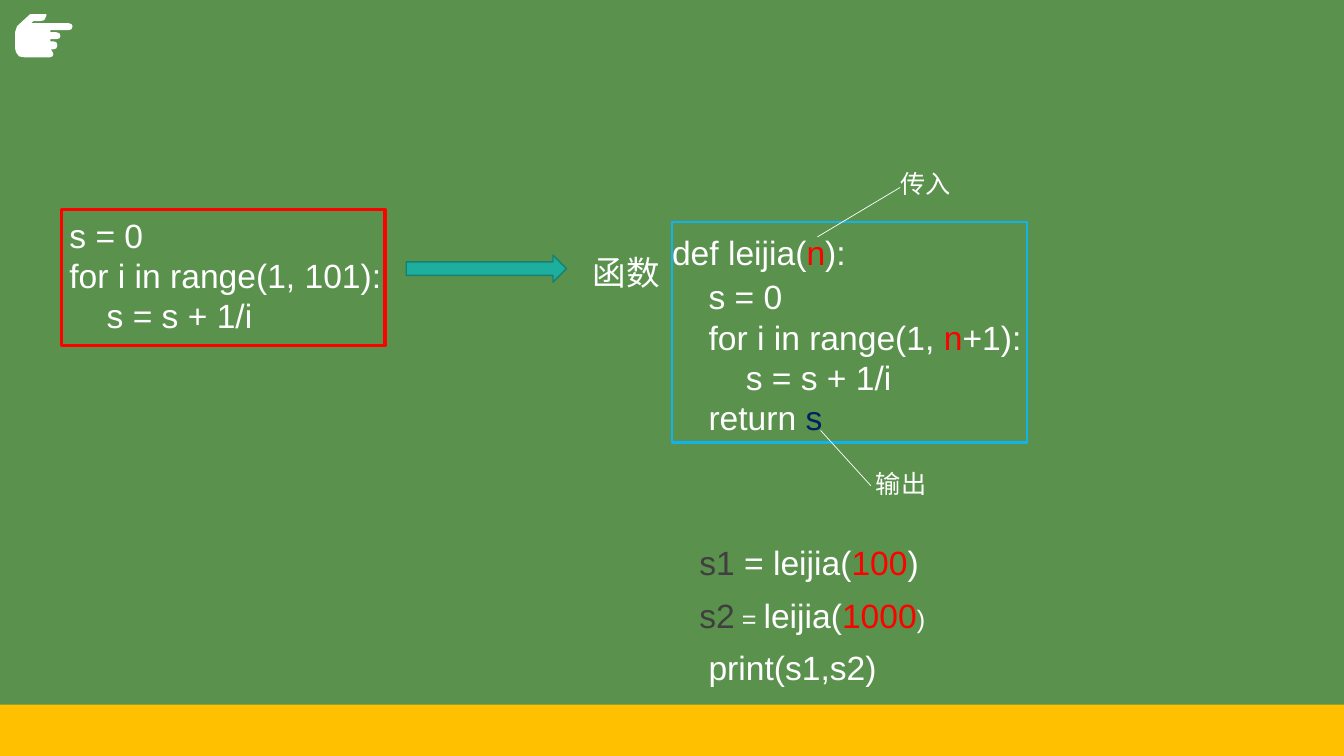
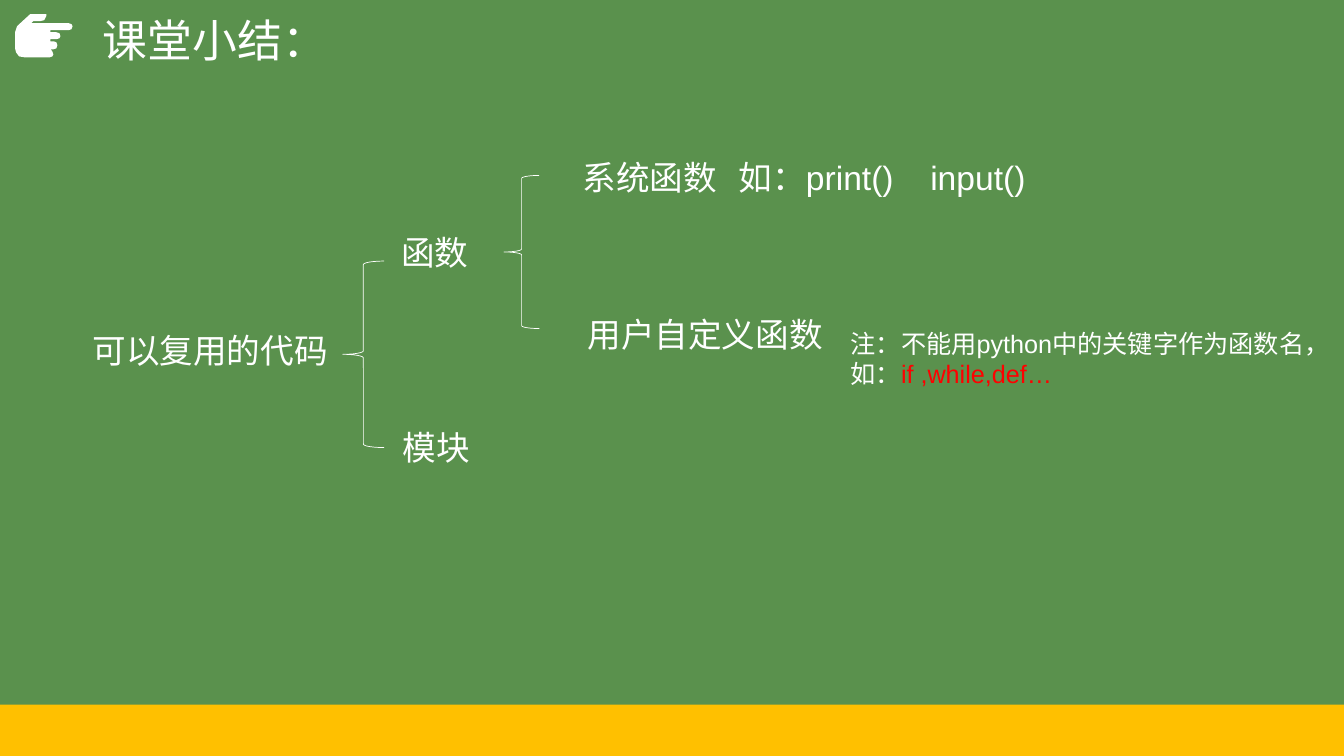
from lxml.etree import SubElement
from pptx import Presentation
from pptx.dml.color import RGBColor
from pptx.enum.shapes import MSO_CONNECTOR, MSO_SHAPE
from pptx.enum.text import MSO_ANCHOR, PP_ALIGN
from pptx.oxml.ns import qn
from pptx.util import Pt

COLORS = {
    "board": "5A914D", "band": "FFC000", "white": "FFFFFF", "red": "FF0000",
    "navy": "002060", "gray": "3F3F3F", "teal": "1DAE9E", "teal_edge": "158175",
    "blue": "11B3ED",
}
FONT = "Arial"
WIDTH, HEIGHT = 960, 540
BAND_TOP = 503.3
CODE, NOTE = 24, 18  # text sizes

# Outline of the pointing hand, in hundredths of an inch
HAND_UNIT = Pt(0.72)
HAND = [
    (53, 54), (52, 51), (50, 49), (53, 49), (56, 48), (57, 45), (56, 42),
    (53, 41), (50, 41), (50, 39), (56, 39), (59, 38), (60, 36), (59, 33),
    (56, 32), (50, 32), (50, 30), (68, 30), (71, 29), (72, 26), (71, 24),
    (68, 23), (31, 23), (33, 21), (40, 21), (44, 20), (46, 16), (46, 14),
    (30, 14), (17, 26), (15, 32), (15, 48), (16, 52), (19, 56), (25, 57),
    (49, 57), (52, 56),
]


def rgb(color):
    return RGBColor.from_string(COLORS[color])


class Lesson:
    """Holds the presentation style and the current slide."""

    def __init__(self):
        self.prs = Presentation()
        self.prs.slide_width, self.prs.slide_height = Pt(WIDTH), Pt(HEIGHT)
        background = self.prs.slide_master.background.fill
        background.solid()
        background.fore_color.rgb = rgb("board")

    def new_slide(self, title=None):
        layout = self.prs.slide_layouts.get_by_name("Title Only" if title else "Blank")
        self.slide = self.prs.slides.add_slide(layout)
        self.shape(MSO_SHAPE.RECTANGLE, 0, BAND_TOP, WIDTH, HEIGHT - BAND_TOP, fill="band")
        self.hand()
        if title:
            self.title(title)

    def title(self, text):
        heading = self.slide.shapes.title
        heading.left, heading.top, heading.width, heading.height = map(Pt, (66.2, 6.5, 828, 49))
        heading.text_frame.vertical_anchor = MSO_ANCHOR.MIDDLE
        paragraph = heading.text_frame.paragraphs[0]
        paragraph.alignment = PP_ALIGN.LEFT
        paragraph.line_spacing = 0.9
        self.run(paragraph, text, size=32)

    def hand(self):
        builder = self.slide.shapes.build_freeform(*HAND[0], scale=HAND_UNIT)
        builder.add_line_segments(HAND[1:], close=True)
        self.paint(builder.convert_to_shape(), fill="white")

    def paint(self, shape, fill=None, line=None, weight=1):
        shape.shadow.inherit = False
        if fill:
            shape.fill.solid()
            shape.fill.fore_color.rgb = rgb(fill)
        else:
            shape.fill.background()
        if line:
            shape.line.color.rgb = rgb(line)
            shape.line.width = Pt(weight)
        else:
            shape.line.fill.background()

    def shape(self, kind, left, top, width, height, **style):
        shape = self.slide.shapes.add_shape(kind, *map(Pt, (left, top, width, height)))
        self.paint(shape, **style)

    def brace(self, left, top, width, height):
        self.shape(MSO_SHAPE.LEFT_BRACE, left, top, width, height, line="white", weight=0.5)

    def pointer(self, *ends):
        line = self.slide.shapes.add_connector(MSO_CONNECTOR.STRAIGHT, *map(Pt, ends))
        line.line.color.rgb = rgb("white")
        line.line.width = Pt(0.5)
        SubElement(line._element.spPr, qn("a:effectLst"))

    def run(self, paragraph, text, color="white", size=CODE):
        run = paragraph.add_run()
        run.text = text
        run.font.name = FONT
        run.font.size = Pt(size)
        run.font.color.rgb = rgb(color)

    def text(self, left, top, width, height, *lines, tab=None):
        """Each line is a list of runs: (text, color, size)."""
        box = self.slide.shapes.add_textbox(*map(Pt, (left, top, width, height)))
        frame = box.text_frame
        frame.word_wrap = True
        for index, runs in enumerate(lines):
            paragraph = frame.add_paragraph() if index else frame.paragraphs[0]
            if tab:
                stops = SubElement(paragraph._p.get_or_add_pPr(), qn("a:tabLst"))
                SubElement(stops, qn("a:tab"), pos=str(Pt(tab)), algn="l")
            for run in runs:
                self.run(paragraph, *run)


def function_slide(lesson):
    lesson.new_slide()

    # Loop before it becomes a function
    lesson.text(42.5, 149.8, 351, 124,
                [("s = 0",)], [("for i in range(1, 101):",)], [("    s = s + 1/i",)])
    lesson.shape(MSO_SHAPE.RECTANGLE, 43.9, 149.8, 231.1, 97.2, line="red", weight=2.25)
    lesson.shape(MSO_SHAPE.RIGHT_ARROW, 290.2, 182.2, 114.5, 19.4,
                 fill="teal", line="teal_edge")
    lesson.text(416.2, 176.4, 71, 36.7, [("函数",)])

    # Function definition
    lesson.text(473, 162, 222, 36.7, [("def leijia(",), ("n", "red"), ("):",)])
    lesson.text(499, 193.7, 239, 123,
                [("s = 0",)],
                [("for i in range(1, ",), ("n", "red"), ("+1):",)],
                [("    s = s + 1/i",)],
                [("return ",), ("s", "navy")])
    lesson.shape(MSO_SHAPE.RECTANGLE, 480.2, 158.4, 253.4, 157.7, line="blue", weight=1.5)

    # Input and output labels
    lesson.pointer(583.9, 169.2, 643, 133.9)
    lesson.text(635.8, 116.6, 110, 28.8, [("传入", "white", NOTE)])
    lesson.pointer(586.1, 307.4, 622.1, 347)
    lesson.text(618.5, 331.2, 110, 28.8, [("输出", "white", NOTE)])

    # Calls
    calls = [
        (492.5, [("s1", "gray"), (" = leijia(",), ("100", "red"), (")",)]),
        (492.5, [("s2", "gray"), (" = ", "white", NOTE), ("leijia(",),
                 ("1000", "red"), (")", "white", NOTE)]),
        (499, [("print(s1,s2)",)]),
    ]
    for index, (left, call) in enumerate(calls):
        lesson.text(left, 383.8 + 37.4 * index, 190, 36.7, call)


def summary_slide(lesson):
    lesson.new_slide("课堂小结：")

    # Reusable code: functions and modules
    lesson.text(59, 231.8, 186, 36.7, [("可以复用的代码",)])
    lesson.brace(244.8, 186.5, 29.5, 133.2)
    lesson.text(279.4, 162, 78, 36.7, [("函数",)])
    lesson.text(280.8, 301.7, 78, 36.7, [("模块",)])

    # Kinds of function
    lesson.brace(360, 125.3, 25.2, 109.4)
    lesson.text(409, 108.7, 115, 36.7, [("系统函数",)])
    lesson.text(520.6, 108.7, 250, 36.7, [("如：print()\tinput()",)], tab=136.8)
    lesson.text(412.6, 220.3, 194, 36.7, [("用户自定义函数",)])
    lesson.text(600.5, 231.1, 366.5, 51,
                [("注：不能用python中的关键字作为函数名，如：", "white", NOTE),
                 ("if ,while,def…", "red", NOTE)])


def main():
    lesson = Lesson()
    function_slide(lesson)
    summary_slide(lesson)
    lesson.prs.save("out.pptx")


if __name__ == "__main__":
    main()
